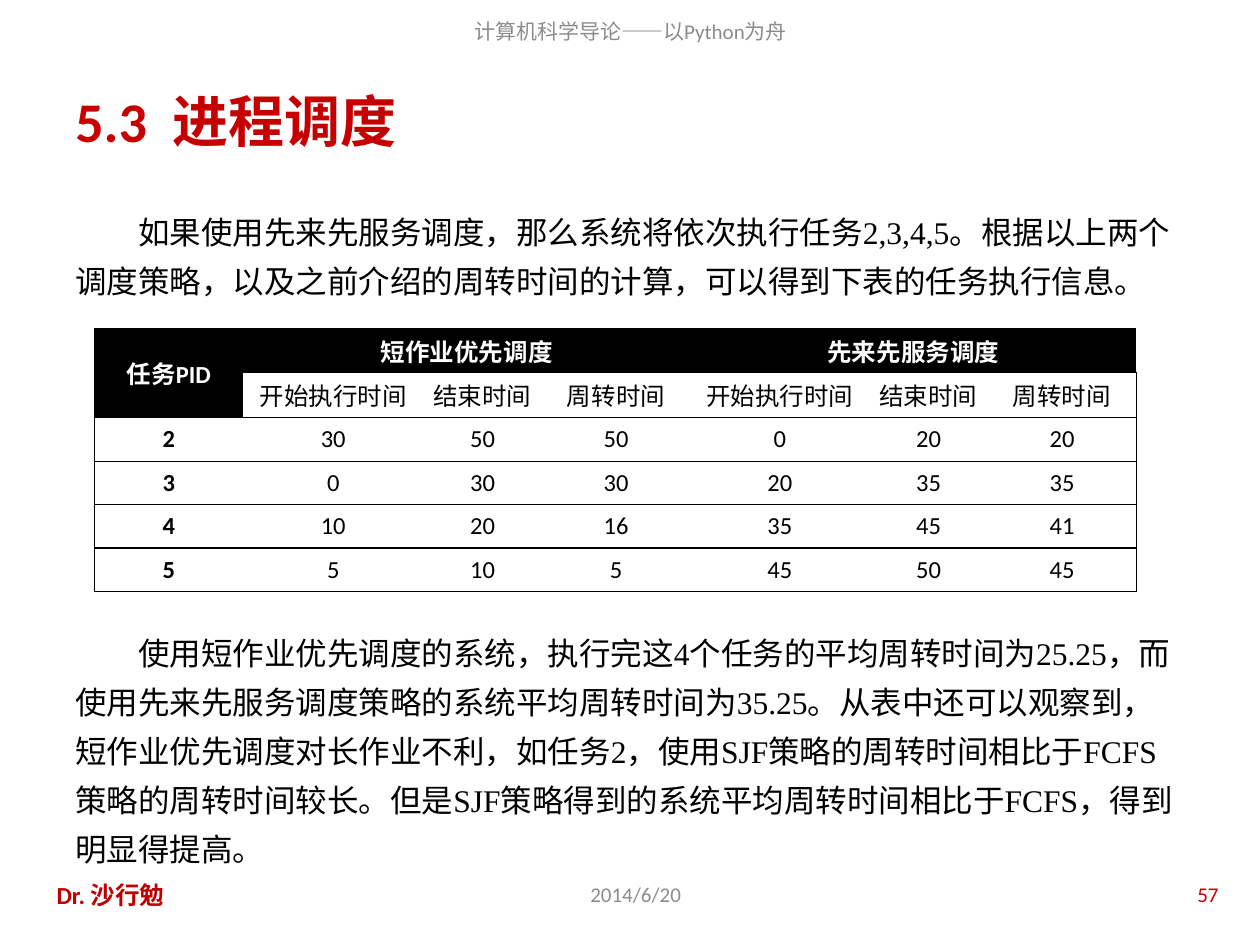
from lxml.etree import SubElement
from pptx import Presentation
from pptx.dml.color import RGBColor
from pptx.enum.lang import MSO_LANGUAGE_ID as Language
from pptx.enum.text import MSO_ANCHOR as Anchor, PP_ALIGN as Align
from pptx.oxml.ns import qn
from pptx.util import Inches, Pt

BLACK = RGBColor(0x00, 0x00, 0x00)
WHITE = RGBColor(0xFF, 0xFF, 0xFF)
GRAY = RGBColor(0x8C, 0x8C, 0x8C)
TITLE_RED = RGBColor(0xC6, 0x00, 0x00)
FOOTER_RED = RGBColor(0xC0, 0x00, 0x00)

COLUMNS, ROWS = 100, 75
COLUMN_WIDTHS = [11.8, 14.3, 9.4, 11.8, 14.2, 9.4, 11.8]
ROW_HEIGHTS = [3.45, 3.6] + [3.45] * 4
POLICIES = ["短作业优先调度", "先来先服务调度"]
MEASURES = ["开始执行时间", "结束时间", "周转时间"]
TASKS = [
    [2, 30, 50, 50, 0, 20, 20],
    [3, 0, 30, 30, 20, 35, 35],
    [4, 10, 20, 16, 35, 45, 41],
    [5, 5, 10, 5, 45, 50, 45],
]
PARAGRAPHS = [
    "如果使用先来先服务调度，那么系统将依次执行任务2,3,4,5。根据以上两个调度策略，"
    "以及之前介绍的周转时间的计算，可以得到下表的任务执行信息。",
    "使用短作业优先调度的系统，执行完这4个任务的平均周转时间为25.25，"
    "而使用先来先服务调度策略的系统平均周转时间为35.25。从表中还可以观察到，"
    "短作业优先调度对长作业不利，如任务2，使用SJF策略的周转时间相比于FCFS策略的周转时间较长。"
    "但是SJF策略得到的系统平均周转时间相比于FCFS，得到明显得提高。",
]


class PageBuilder:
    heading_font = "Calibri"
    body_font = "Times New Roman"
    border_width = Pt(0.75)

    def __init__(self, deck):
        self.page = deck.slides.add_slide(deck.slide_layouts[6])
        self.column = deck.slide_width / COLUMNS
        self.row = deck.slide_height / ROWS

    def area(self, left, top, width, height):
        return (int(left * self.column), int(top * self.row),
                int(width * self.column), int(height * self.row))

    def style(self, para, size, color, bold=False, align=Align.LEFT, font=None):
        para.alignment = align
        for span in para.runs:
            span.font.name = font or self.heading_font
            span.font.size = Pt(size)
            span.font.bold = bold
            span.font.color.rgb = color
            span.font.language_id = Language.SIMPLIFIED_CHINESE

    def text_frame(self, place, anchor):
        frame = self.page.shapes.add_textbox(*self.area(*place)).text_frame
        frame.word_wrap = True
        frame.vertical_anchor = anchor
        return frame

    def label(self, place, text, size, color, bold=False, align=Align.LEFT):
        frame = self.text_frame(place, Anchor.MIDDLE)
        frame.text = text
        self.style(frame.paragraphs[0], size, color, bold, align)

    def body(self, place, texts, gap):
        frame = self.text_frame(place, Anchor.TOP)
        frame.text = "\n".join(texts)
        for index, para in enumerate(frame.paragraphs):
            self.style(para, 18, BLACK, font=self.body_font)
            para.line_spacing = 1.3
            para.space_before = Pt(gap if index else 0)
            para._p.get_or_add_pPr().set("indent", str(Inches(0.5)))

    def border(self, cell, sides):
        properties = cell._tc.get_or_add_tcPr()
        for side in "LRTB":
            line = SubElement(properties, qn(f"a:ln{side}"), w=str(self.border_width))
            if side in sides:
                fill = SubElement(line, qn("a:solidFill"))
                SubElement(fill, qn("a:srgbClr"), val=str(BLACK))
            else:
                SubElement(line, qn("a:noFill"))

    def table(self, left, top, widths, heights, values):
        place = self.area(left, top, sum(widths), sum(heights))
        table = self.page.shapes.add_table(len(heights), len(widths), *place).table
        table.first_row = table.horz_banding = False
        for column, width in zip(table.columns, widths):
            column.width = int(width * self.column)
        for row, height in zip(table.rows, heights):
            row.height = int(height * self.row)
        table.cell(0, 0).merge(table.cell(1, 0))
        for first in (1, 4):
            table.cell(0, first).merge(table.cell(0, first + 2))
        last = len(widths) - 1
        for r, row in enumerate(values):
            for c, value in enumerate(row):
                cell = table.cell(r, c)
                heading = r == 0 or (r == 1 and c == 0)
                self.border(cell, "TB" + "L" * (c == 0) + "R" * (c == last))
                cell.fill.solid()
                cell.fill.fore_color.rgb = BLACK if heading else WHITE
                cell.vertical_anchor = Anchor.MIDDLE
                cell.margin_left = cell.margin_right = Inches(0.07)
                cell.margin_top = cell.margin_bottom = 0
                if value != "":
                    cell.text = str(value)
                    self.style(cell.text_frame.paragraphs[0], 14,
                               WHITE if heading else BLACK,
                               heading or c == 0, Align.CENTER)


def main():
    deck = Presentation()
    deck.slide_width, deck.slide_height = Inches(10), Inches(7.5)
    builder = PageBuilder(deck)
    builder.label((15.4, 0.5, 69.3, 3.9), "计算机科学导论——以Python为舟", 12, GRAY,
                  align=Align.CENTER)
    builder.label((5, 6, 90, 7), "5.3  进程调度", 32, TITLE_RED, bold=True)
    builder.label((33.5, 69, 33.9, 4), "2014/6/20", 12, GRAY, align=Align.CENTER)
    builder.label((3.5, 69, 22.1, 4), "Dr. 沙行勉", 14, FOOTER_RED, bold=True)
    builder.label((74.4, 69, 23.3, 4), "57", 12, FOOTER_RED, align=Align.RIGHT)
    builder.body((5, 15.5, 89.9, 52), PARAGRAPHS, gap=184.5)
    header = ["任务PID", POLICIES[0], "", "", POLICIES[1], "", ""]
    values = [header, [""] + MEASURES * 2] + TASKS
    builder.table(7.5, 26.1, COLUMN_WIDTHS, ROW_HEIGHTS, values)
    deck.save("out.pptx")


if __name__ == "__main__":
    main()
